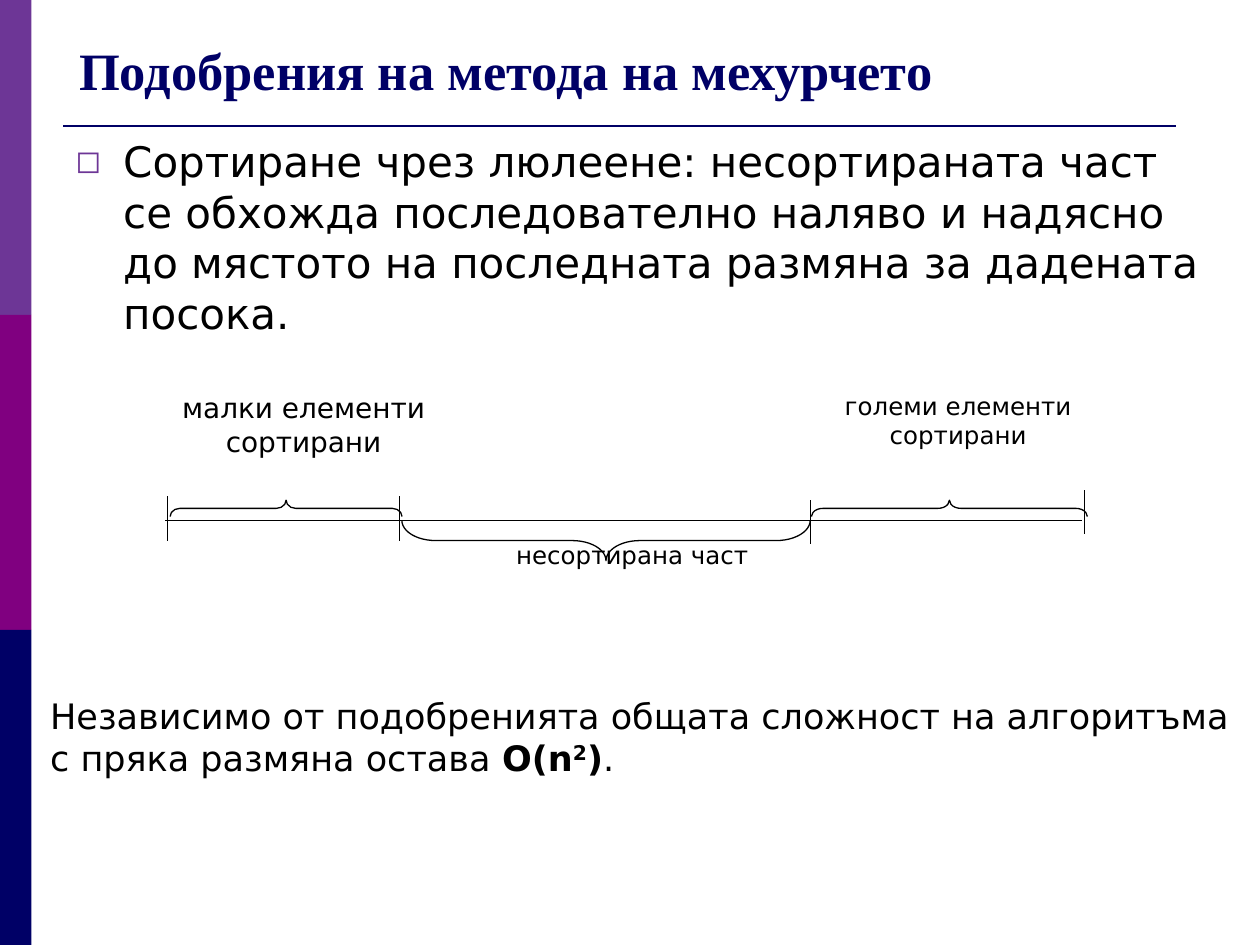
from lxml.etree import SubElement
from pptx import Presentation
from pptx.dml.color import RGBColor
from pptx.enum.shapes import MSO_CONNECTOR, MSO_SHAPE
from pptx.enum.text import MSO_ANCHOR, PP_ALIGN
from pptx.oxml.ns import qn
from pptx.util import Inches, Pt

COLS, ROWS = 100, 75
NAVY, BLACK, VIOLET, PLUM = "000066", "000000", "6D3696", "800080"


def tint(code):
    return RGBColor.from_string(code)


def write(par, text, size=14, color=BLACK, font="DejaVu Sans", bold=False, lift=0):
    run = par.add_run()
    run.text = text
    face = run.font
    face.name, face.size, face.bold = font, Pt(size), bold
    face.color.rgb = tint(color)
    if lift:
        run._r.get_or_add_rPr().set("baseline", str(lift * 1000))


class Page:
    def __init__(self, deck):
        self.wide = deck.slide_width / COLS
        self.high = deck.slide_height / ROWS
        self.shapes = deck.slides.add_slide(deck.slide_layouts[6]).shapes

    def place(self, x, y, w, h):
        return [int(v) for v in (x * self.wide, y * self.high, w * self.wide, h * self.high)]

    def block(self, x, y, w, h, color):
        box = self.shapes.add_shape(MSO_SHAPE.RECTANGLE, *self.place(x, y, w, h))
        box.shadow.inherit = False
        box.fill.solid()
        box.fill.fore_color.rgb = tint(color)
        box.line.fill.background()

    def line(self, x, y, to_x, to_y, color=BLACK, width=0.75):
        rule = self.shapes.add_connector(MSO_CONNECTOR.STRAIGHT, *self.place(x, y, to_x, to_y))
        rule.line.color.rgb = tint(color)
        rule.line.width = Pt(width)
        SubElement(rule._element.spPr, qn("a:effectLst"))

    def brace(self, x, y, w, h, turn, curve):
        mid, level = x + w / 2, y + h / 2
        spot = self.place(mid - h / 2, level - w / 2, h, w)
        mark = self.shapes.add_shape(MSO_SHAPE.LEFT_BRACE, *spot)
        mark.rotation = turn
        mark.adjustments[0] = curve
        mark.shadow.inherit = False
        mark.fill.background()
        mark.line.color.rgb = tint(BLACK)
        mark.line.width = Pt(0.75)

    def text(self, x, y, w, h, rows, align=PP_ALIGN.LEFT, anchor=MSO_ANCHOR.TOP, **style):
        frame = self.shapes.add_textbox(*self.place(x, y, w, h)).text_frame
        frame.word_wrap = True
        frame.vertical_anchor = anchor
        for i, runs in enumerate(rows):
            par = frame.add_paragraph() if i else frame.paragraphs[0]
            par.alignment = align
            for words, extra in runs:
                write(par, words, **{**style, **extra})
        return frame.paragraphs[0]

    def bullet(self, par, sign, color, share, indent):
        par.space_before = Pt(6)
        props = par._p.get_or_add_pPr()
        props.set("marL", str(int(indent * self.wide)))
        props.set("indent", str(int(-indent * self.wide)))
        SubElement(SubElement(props, qn("a:buClr")), qn("a:srgbClr"), val=color)
        SubElement(props, qn("a:buSzPct"), val=str(share * 1000))
        SubElement(props, qn("a:buFont"), typeface="DejaVu Sans")
        SubElement(props, qn("a:buChar"), char=sign)


def main():
    deck = Presentation()
    deck.slide_width, deck.slide_height = Inches(10), Inches(7.5)
    page = Page(deck)

    for i, color in enumerate((VIOLET, PLUM, NAVY)):
        page.block(0, i * ROWS / 3, 2.5, ROWS / 3, color)
    page.line(5, 10, 93.3, 10, NAVY, 1.5)

    page.text(5.3, 0, 90, 8.5, [[("Подобрения на метода на мехурчето", {})]],
              anchor=MSO_ANCHOR.BOTTOM, size=30, color=NAVY,
              font="Times New Roman", bold=True)
    lead = page.text(5, 10.3, 92.6, 50.8, [[(
        "Сортиране чрез люлеене: несортираната част се обхожда последователно "
        "наляво и надясно до мястото на последната размяна за дадената посока.", {})]],
        size=24)
    page.bullet(lead, "◻", VIOLET, 75, 3.8)

    page.line(13.1, 41.3, 85.9, 41.3)
    for x, y, w, h, rows, size in (
        (12, 30.5, 24.2, 10.8, ("малки елементи", "сортирани"), 16),
        (64.3, 30.5, 23.5, 10.8, ("големи елементи", "сортирани"), 14),
        (39.3, 42.4, 22.4, 7.8, ("несортирана част ",), 14),
    ):
        page.text(x, y, w, h, [[(row, {})] for row in rows], PP_ALIGN.CENTER, size=size)

    page.brace(31.9, 41.3, 32.4, 3.2, 270, 0.84)
    page.brace(64.4, 39.7, 21.9, 1.3, 90, 0.7)
    page.brace(13.5, 39.7, 18.4, 1.3, 90, 0.59)
    for x, y in ((31.7, 39.4), (13.3, 39.4), (64.3, 39.7), (86.1, 38.9)):
        page.line(x, y, x, y + 3.5)

    strong = {"bold": True}
    page.text(3, 54.6, 97, 7.7, [[
        ("Независимо от подобренията общата сложност на алгоритъма "
         "с пряка размяна остава ", {}),
        ("О(n", strong), ("2", {"bold": True, "lift": 30}), (")", strong), (".", {}),
    ]], size=20)
    deck.save("out.pptx")


if __name__ == "__main__":
    main()
